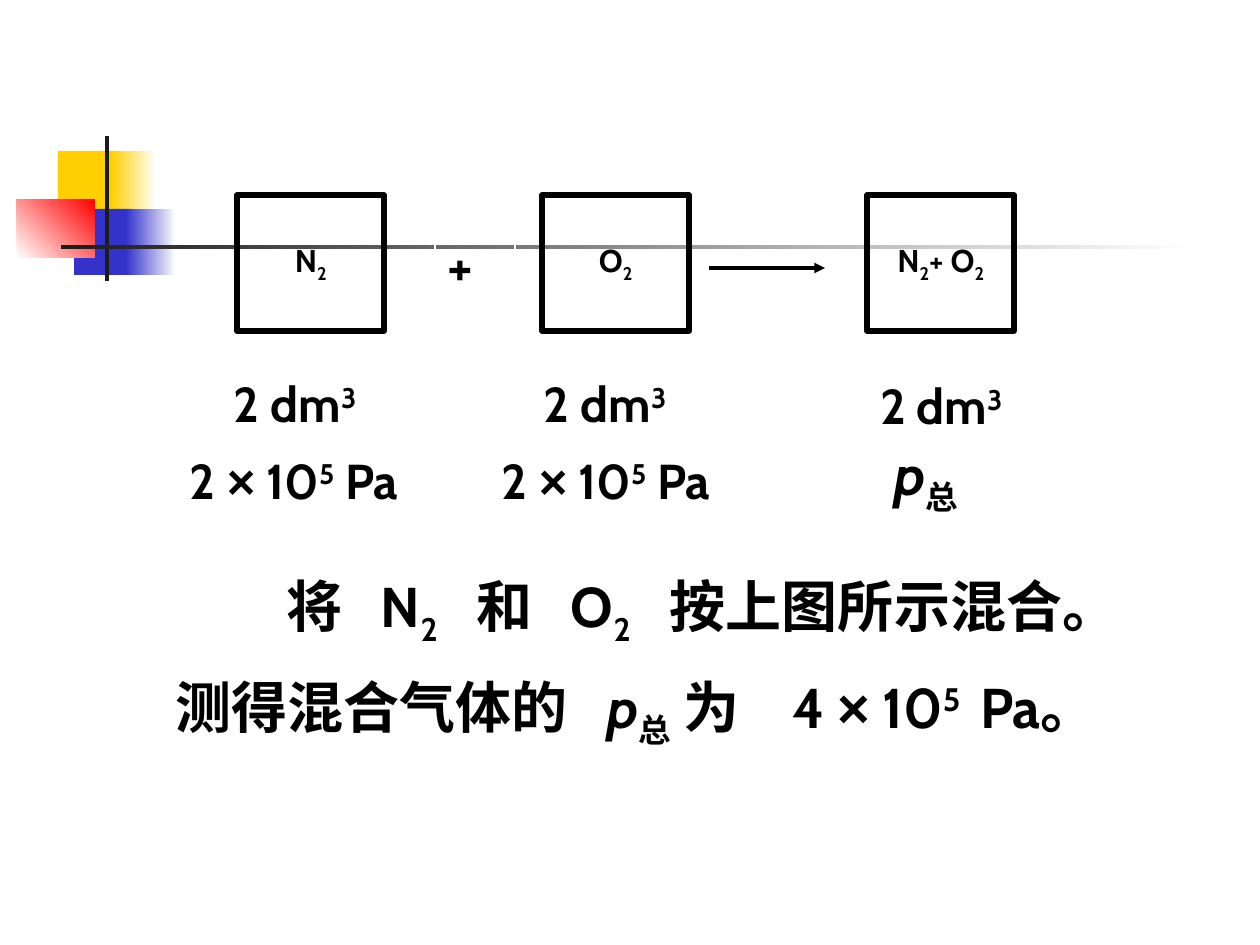
import lxml.etree
import pptx
import pptx.dml.color
import pptx.enum.shapes
import pptx.enum.text
import pptx.oxml.ns
import pptx.util

SCALE = 914400 / 126
SHAPE = pptx.enum.shapes.MSO_SHAPE
ALIGN = pptx.enum.text.PP_ALIGN
ANCHOR = pptx.enum.text.MSO_ANCHOR
FIT = pptx.enum.text.MSO_AUTO_SIZE
BASE = {"_": "-25000", "^": "30000"}


def emu(*px):
    return [round(n * SCALE) for n in px]


def color(text):
    return pptx.dml.color.RGBColor.from_string(text)


def node(parent, tag, **attrs):
    return lxml.etree.SubElement(parent, pptx.oxml.ns.qn(tag), **attrs)


class Board:
    font = "Cabin"
    sign = "Arial"
    ink = "000000"

    def __init__(self, slide):
        self.slide = slide

    def rect(self, place, fill=None, line=None, width=3):
        """Draw a rectangle; a pair of colours as fill makes a gradient."""
        shape = self.slide.shapes.add_shape(SHAPE.RECTANGLE, *emu(*place))
        shape.shadow.inherit = False
        if isinstance(fill, tuple):
            shape.fill.gradient()
            for stop, tone in zip(shape.fill.gradient_stops, fill):
                stop.color.rgb = color(tone)
            shape.fill.gradient_angle = 0
        elif fill:
            shape.fill.solid()
            shape.fill.fore_color.rgb = color(fill)
        else:
            shape.fill.background()
        if line:
            shape.line.color.rgb = color(line)
            shape.line.width = pptx.util.Pt(width)
        else:
            shape.line.fill.background()
        return shape

    def label(self, shape, *lines, size=28, align=ALIGN.LEFT, space=None,
              inset=13, indent=0, tabs=(), wrap=True, anchor=ANCHOR.TOP):
        """Fill a shape; | splits runs, a leading _ ^ / means sub, super, italic.

        The indent applies to the first line only.
        """
        frame = shape.text_frame
        frame.word_wrap = wrap
        frame.vertical_anchor = anchor
        frame.margin_left = emu(inset)[0]
        for i, line in enumerate(lines):
            para = frame.add_paragraph() if i else frame.paragraphs[0]
            para.alignment = align
            para.line_spacing = space
            props = para._p.get_or_add_pPr()
            if indent and i == 0:
                props.set("marL", str(emu(indent)[0]))
            if tabs:
                stops = node(props, "a:tabLst")
                for pos in emu(*tabs):
                    node(stops, "a:tab", pos=str(pos), algn="l")
            for part in line.split("|"):
                mark = part[0]
                run = para.add_run()
                run.text = part[1:] if mark in "_^/" else part
                run.font.name = self.sign if mark == "×" else self.font
                run.font.size = pptx.util.Pt(size)
                run.font.bold = True
                run.font.italic = mark == "/"
                run.font.color.rgb = color(self.ink)
                if mark in BASE:
                    run.font._element.set("baseline", BASE[mark])

    def text(self, place, *lines, **style):
        box = self.slide.shapes.add_textbox(*emu(*place))
        self.label(box, *lines, space=1.3, **style)
        box.text_frame.auto_size = FIT.SHAPE_TO_FIT_TEXT

    def vessel(self, left, gas):
        shape = self.rect((left, 195, 147, 136), line=self.ink)
        self.label(shape, gas, size=18, align=ALIGN.CENTER, wrap=False,
                   anchor=ANCHOR.MIDDLE)

    def arrow(self, x1, x2, y):
        line = self.slide.shapes.add_connector(
            pptx.enum.shapes.MSO_CONNECTOR.STRAIGHT, *emu(x1, y, x2, y))
        line.line.color.rgb = color(self.ink)
        line.line.width = pptx.util.Pt(2)
        node(line.line._get_or_add_ln(), "a:tailEnd", type="triangle")
        node(line._element.spPr, "a:effectLst")


def main():
    deck = pptx.Presentation()
    deck.slide_width, deck.slide_height = emu(1260, 945)
    board = Board(deck.slides.add_slide(deck.slide_layouts[6]))

    white, yellow, blue, dark = "FFFFFF", "FFCF01", "3333CC", "1C1C1C"
    board.rect((58, 151, 60, 66), yellow)
    board.rect((111, 151, 45, 66), (yellow, white))
    board.rect((74, 209, 58, 66), blue)
    board.rect((126, 209, 50, 66), (blue, white))
    corner = board.rect((17, 199, 78, 59), (white, "FF0000"))
    corner.fill.gradient_angle = 45
    board.rect((105, 136, 4, 145), dark)
    board.rect((61, 245, 1134, 4), (dark, white))

    for left, gas in (237, "N|_2"), (542, "O|_2"), (867, "N|_2|+ O|_2"):
        board.vessel(left, gas)
    plus = board.rect((435, 224, 80, 81), line=white, width=0.75)
    board.label(plus, "+", size=32)
    board.arrow(709, 825, 268)

    volume, pressure = "2 dm|^3", "2 |×| 10|^5| Pa"
    board.text((102, 350, 399, 166), volume, pressure, inset=88, indent=44)
    board.text((479, 350, 305, 166), volume, pressure, inset=23, indent=42)
    board.text((867, 352, 220, 89), volume)
    board.text((857, 410, 220, 112), "/p|_总", size=32, inset=37)

    board.text((174, 542, 973, 112), "将\tN|_2|\t和\tO|_2|\t按上图所示混合。",
               size=32, inset=113, tabs=(94, 190, 284, 383))
    board.text((74, 643, 1062, 112),
               "测得混合气体的\t|/p|_总| 为\t4 |×| 10|^5|\tPa。",
               size=32, inset=101, tabs=(432, 617, 805))
    deck.save("out.pptx")


if __name__ == "__main__":
    main()
